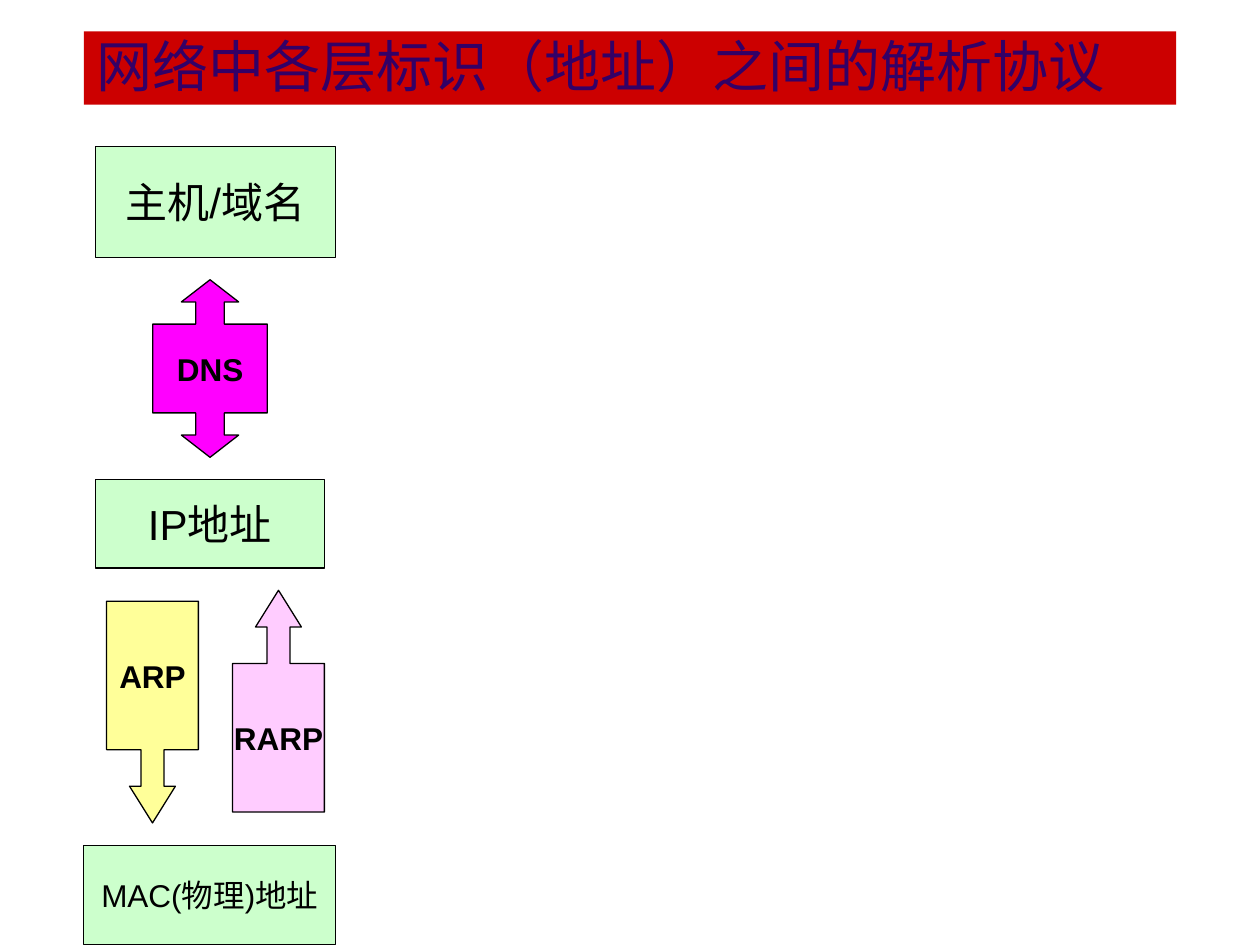
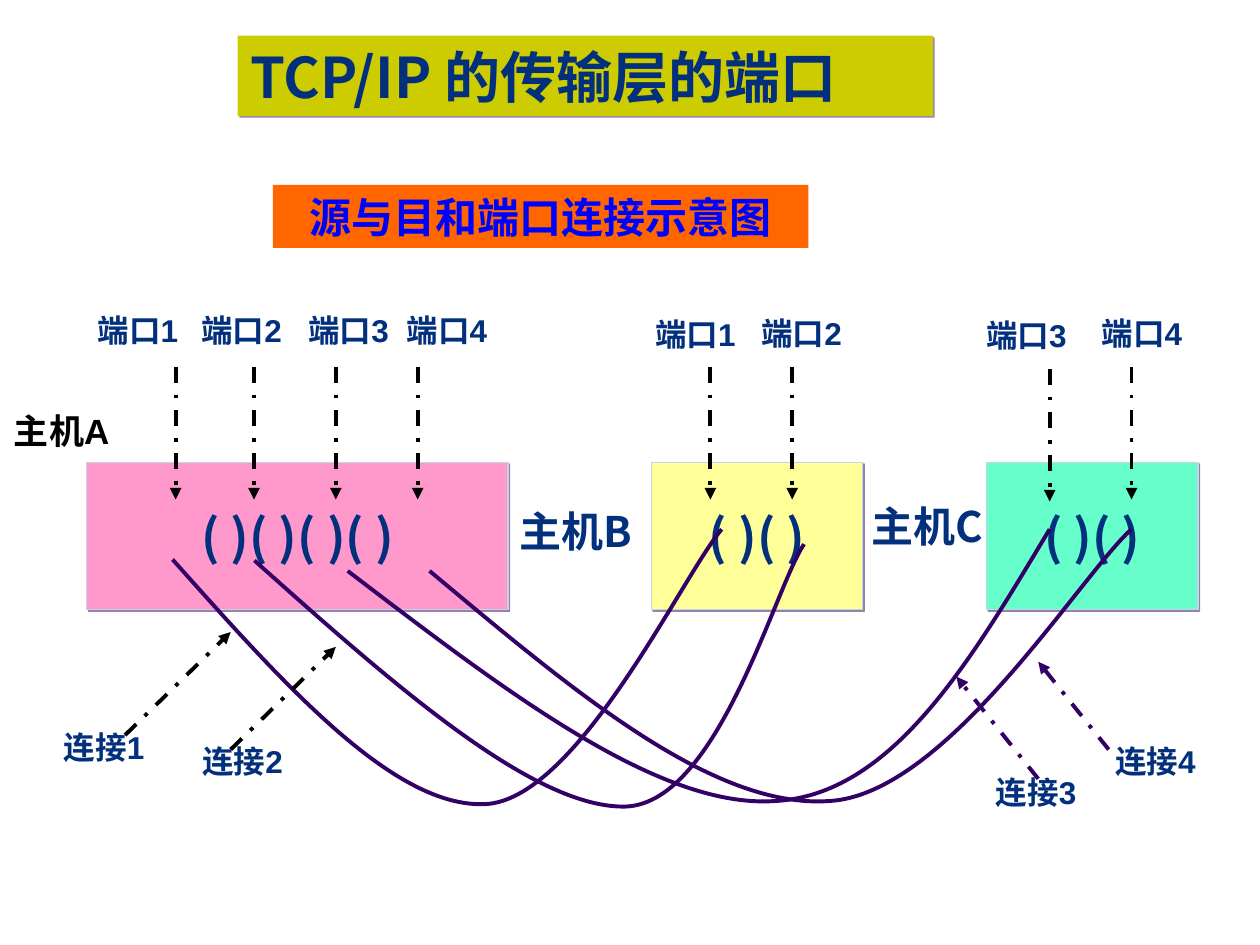
from dataclasses import dataclass
from typing import Optional

from lxml.etree import SubElement
from pptx import Presentation
from pptx.dml.color import RGBColor
from pptx.enum.dml import MSO_LINE
from pptx.enum.shapes import MSO_CONNECTOR, MSO_SHAPE
from pptx.enum.text import MSO_ANCHOR as Anchor, MSO_AUTO_SIZE, PP_ALIGN as Align
from pptx.oxml.ns import qn
from pptx.util import Cm, Pt

BLACK = RGBColor(0x00, 0x00, 0x00)
PURPLE = RGBColor(0x33, 0x00, 0x66)
NAVY = RGBColor(0x02, 0x30, 0x7C)
BLUE = RGBColor(0x00, 0x00, 0xFF)
RED = RGBColor(0xCC, 0x00, 0x00)
OLIVE = RGBColor(0xCC, 0xCC, 0x00)
ORANGE = RGBColor(0xFF, 0x66, 0x00)
PALE_GREEN = RGBColor(0xCC, 0xFF, 0xCC)
MAGENTA = RGBColor(0xFF, 0x00, 0xFF)
YELLOW = RGBColor(0xFF, 0xFF, 0x99)
LILAC = RGBColor(0xFF, 0xCC, 0xFF)
PINK = RGBColor(0xFF, 0x99, 0xCC)
MINT = RGBColor(0x66, 0xFF, 0xCC)
PALE_BLUE = RGBColor(0xC3, 0xD7, 0xE1)

LATIN = "Arial"
CJK = "Noto Sans CJK SC"
Point = tuple[float, float]


@dataclass
class Box:
    """A filled block of text; lengths in centimetres."""
    text: str
    left: float
    top: float
    width: float
    height: float
    fill: RGBColor
    size: int = 18
    bold: bool = False
    kind: MSO_SHAPE = MSO_SHAPE.RECTANGLE


@dataclass
class Label:
    text: str
    left: float
    top: float
    width: float = 2.82
    height: float = 1.02
    size: int = 18
    font: str = LATIN
    color: RGBColor = NAVY


@dataclass
class Arrow:
    start: Point
    end: Point
    color: RGBColor = BLACK


ADDRESSES = [
    Box("主机/域名", 1.92, 2.96, 4.84, 2.23, PALE_GREEN, 24),
    Box("IP地址", 1.92, 9.66, 4.62, 1.79, PALE_GREEN, 24),
    Box("MAC(物理)地址", 1.69, 17.04, 5.08, 2.0, PALE_GREEN),
]
DNS = Box("DNS", 3.08, 5.64, 2.31, 3.58, MAGENTA, bold=True)
CALLOUTS = [
    Box("ARP", 2.15, 12.12, 1.85, 4.47, YELLOW, bold=True,
        kind=MSO_SHAPE.DOWN_ARROW_CALLOUT),
    Box("RARP", 4.69, 11.9, 1.85, 4.47, LILAC, bold=True,
        kind=MSO_SHAPE.UP_ARROW_CALLOUT),
]

HOSTS = [
    Box("( )( )( )( )", 1.75, 9.32, 8.49, 2.97, PINK, 28, True),
    Box("( )( )", 13.13, 9.32, 4.26, 2.97, YELLOW, 28, True),
    Box("( )( )", 19.89, 9.32, 4.26, 2.97, MINT, 28, True),
]
HOST_LABELS = [
    Label("主机B", 9.84, 10.06, 3.53, 1.27, 24, CJK),
    Label("主机C", 16.92, 9.96, 3.53, 1.27, 24, CJK),
    Label("主机A", 0, 8.13, 2.49, 1.96, 20, color=BLACK),
]
PORT_LABELS = [
    Label("端口1", 1.37, 6.15), Label("端口2", 3.46, 6.15),
    Label("端口3", 5.62, 6.15), Label("端口4", 7.6, 6.15),
    Label("端口1", 12.61, 6.22), Label("端口2", 14.75, 6.2),
    Label("端口3", 19.28, 6.25), Label("端口4", 21.61, 6.2),
]
PORT_ARROW_STARTS = [
    (3.54, 7.4), (5.12, 7.4), (6.77, 7.4), (8.42, 7.4),
    (14.32, 7.4), (15.97, 7.4), (21.16, 7.44), (22.81, 7.4),
]
PORT_ARROW_LENGTH = 2.67
LINK_LABELS = [
    Label("连接1", 0.69, 14.55), Label("连接2", 3.48, 14.83),
    Label("连接3", 19.48, 15.46), Label("连接4", 21.88, 14.83),
]
LINK_ARROWS = [
    Arrow((2.52, 14.82), (4.65, 12.74)),
    Arrow((4.65, 15.11), (6.77, 13.04)),
    Arrow((20.93, 15.7), (19.28, 13.64), PURPLE),
    Arrow((22.35, 15.11), (20.93, 13.34), PURPLE),
]
# Each link is two cubic Bézier arcs sharing their middle point.
LINKS = [
    [(8.66, 11.51), (11.51, 13.89), (14.35, 16.31), (16.71, 16.15),
     (19.08, 16.03), (21.79, 11.58), (22.81, 10.67)],
    [(7.01, 11.51), (10.13, 13.89), (13.26, 16.31), (15.62, 16.15),
     (17.98, 16.03), (19.56, 13.34), (21.16, 10.67)],
    [(5.13, 11.3), (7.95, 13.82), (10.77, 16.31), (12.62, 16.26),
     (14.48, 16.18), (15.62, 11.84), (16.21, 10.97)],
    [(3.48, 11.28), (5.72, 13.79), (7.95, 16.31), (9.8, 16.21),
     (11.66, 16.1), (13.77, 11.58), (14.55, 10.67)],
]


def write_text(shape, text: str, *, size: int, color: RGBColor = BLACK,
               font: str = LATIN, bold: bool = False, align=Align.CENTER,
               anchor=Anchor.MIDDLE, wrap: bool = True) -> None:
    frame = shape.text_frame
    frame.word_wrap = wrap
    frame.auto_size = MSO_AUTO_SIZE.NONE
    frame.vertical_anchor = anchor
    paragraph = frame.paragraphs[0]
    paragraph.alignment = align
    run = paragraph.add_run()
    run.text = text
    run.font.size = Pt(size)
    run.font.bold = bold
    run.font.color.rgb = color
    run.font.name = font
    SubElement(run.font._element, qn("a:ea"), typeface=CJK)


def paint(shape, fill: Optional[RGBColor], line: Optional[RGBColor] = None,
          width: float = 0.75) -> None:
    """Set fill and outline, None meaning neither is drawn."""
    shape.shadow.inherit = False
    if fill is None:
        shape.fill.background()
    else:
        shape.fill.solid()
        shape.fill.fore_color.rgb = fill
    if line is None:
        shape.line.fill.background()
    else:
        shape.line.color.rgb = line
        shape.line.width = Pt(width)


def add_shadow(shape) -> None:
    effects = shape.element.spPr.find(qn("a:effectLst"))
    shadow = SubElement(effects, qn("a:outerShdw"), blurRad="0", dist=str(Pt(1.4)),
                        dir="2700000", algn="ctr", rotWithShape="0")
    color = SubElement(shadow, qn("a:srgbClr"), val=str(PURPLE))
    SubElement(color, qn("a:alpha"), val="50000")


def set_title(slide, text: str, bounds: tuple, fill: RGBColor, **text_format):
    title = slide.shapes.title
    title.left, title.top, title.width, title.height = map(Cm, bounds)
    paint(title, fill)
    write_text(title, text, size=32, align=Align.LEFT, **text_format)
    return title


def add_box(slide, box: Box, line: Optional[RGBColor] = BLACK, **text_format):
    shape = slide.shapes.add_shape(box.kind, Cm(box.left), Cm(box.top),
                                   Cm(box.width), Cm(box.height))
    paint(shape, box.fill, line)
    write_text(shape, box.text, size=box.size, bold=box.bold, **text_format)
    return shape


def add_label(slide, label: Label) -> None:
    shape = slide.shapes.add_textbox(Cm(label.left), Cm(label.top),
                                     Cm(label.width), Cm(label.height))
    write_text(shape, label.text, size=label.size, color=label.color,
               font=label.font, bold=True, anchor=Anchor.TOP)


def add_outline(slide, points: list[Point], close: bool):
    corners = [(Cm(x), Cm(y)) for x, y in points]
    builder = slide.shapes.build_freeform(*corners[0])
    builder.add_line_segments(corners[1:], close=close)
    return builder.convert_to_shape()


def add_double_callout(slide, box: Box) -> None:
    """Draw a block with an arrow above and below, mirrored on both axes."""
    half_w, half_h = box.width / 2, box.height / 2
    shaft, head, head_length = box.width / 8, box.width / 4, box.height / 8
    quarter = [(half_w, half_h / 2), (shaft, half_h / 2),
               (shaft, half_h - head_length), (head, half_h - head_length)]
    right = [(x, -y) for x, y in reversed(quarter)] + quarter
    left = [(-x, -y) for x, y in right]
    center_x, center_y = box.left + half_w, box.top + half_h
    outline = [(0, -half_h), *right, (0, half_h), *left]
    shape = add_outline(slide, [(center_x + x, center_y + y) for x, y in outline], True)
    paint(shape, box.fill, BLACK)
    write_text(shape, box.text, size=box.size, bold=box.bold, wrap=False)


def add_link(slide, controls: list[Point]) -> None:
    """Draw the control points as curves: every three segments become one arc."""
    link = add_outline(slide, controls, False)
    segments = list(link.element.iter(qn("a:lnTo")))
    for first in range(0, len(segments), 3):
        arc = SubElement(segments[first].getparent(), qn("a:cubicBezTo"))
        for segment in segments[first:first + 3]:
            arc.append(segment[0])
            segment.getparent().remove(segment)
    paint(link, None, PURPLE, 2.25)


def add_arrow(slide, arrow: Arrow) -> None:
    connector = slide.shapes.add_connector(
        MSO_CONNECTOR.STRAIGHT, *map(Cm, arrow.start + arrow.end))
    connector.line.color.rgb = arrow.color
    connector.line.width = Pt(2.25)
    connector.line.dash_style = MSO_LINE.DASH_DOT
    properties = connector.element.spPr
    SubElement(properties.find(qn("a:ln")), qn("a:tailEnd"), type="triangle")
    SubElement(properties, qn("a:effectLst"))


def build_resolution_slide(slide) -> None:
    set_title(slide, "网络中各层标识（地址）之间的解析协议", (1.69, 0.63, 22.02, 1.48),
              RED, color=PURPLE, anchor=Anchor.BOTTOM)
    for address in ADDRESSES:
        add_box(slide, address, wrap=False)
    add_double_callout(slide, DNS)
    for callout in CALLOUTS:
        shape = add_box(slide, callout, wrap=False)
        for index, value in enumerate((0.25, 0.25, 0.4, 0.67)):
            shape.adjustments[index] = value


def build_ports_slide(slide) -> None:
    title = set_title(slide, "TCP/IP 的传输层的端口", (4.79, 0.72, 14.02, 1.62),
                      OLIVE, color=NAVY, font=CJK, bold=True)
    add_shadow(title)
    subtitle = Box("源与目和端口连接示意图", 5.5, 3.73, 10.8, 1.27, ORANGE, 24, True)
    add_box(slide, subtitle, None, color=BLUE, anchor=Anchor.TOP)
    for host in HOSTS:
        add_shadow(add_box(slide, host, PALE_BLUE, color=NAVY, font=CJK, wrap=False))
    for link in LINKS:
        add_link(slide, link)
    port_arrows = [Arrow((x, y), (x, y + PORT_ARROW_LENGTH))
                   for x, y in PORT_ARROW_STARTS]
    for arrow in LINK_ARROWS + port_arrows:
        add_arrow(slide, arrow)
    for label in HOST_LABELS + PORT_LABELS + LINK_LABELS:
        add_label(slide, label)


def main() -> None:
    deck = Presentation()
    deck.slide_width, deck.slide_height = Cm(25.4), Cm(19.05)
    title_only = deck.slide_layouts[5]
    for build in (build_resolution_slide, build_ports_slide):
        build(deck.slides.add_slide(title_only))
    deck.save("out.pptx")


if __name__ == "__main__":
    main()
